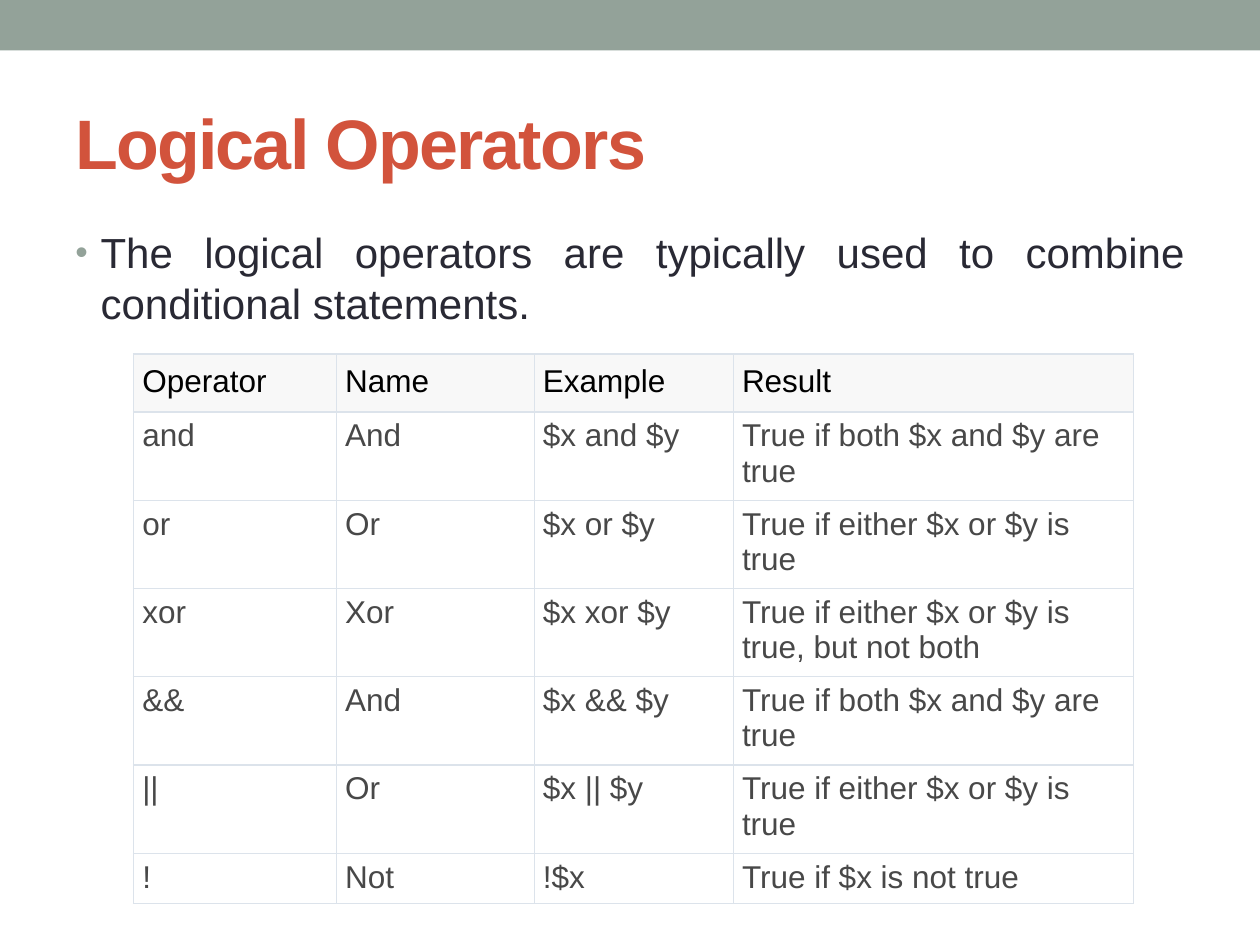
from dataclasses import dataclass

import pptx
import pptx.dml.color
import pptx.enum.shapes
import pptx.enum.text
import pptx.oxml.ns
import pptx.util
from lxml import etree
from pptx.util import Inches


@dataclass(frozen=True)
class Theme:
    font: str = "Arial"
    band: str = "93A299"
    title: str = "D2533C"
    body: str = "292934"
    header_text: str = "000000"
    cell_text: str = "484848"
    header_fill: str = "F8F8F8"
    cell_fill: str = "FFFFFF"
    border: str = "DCE3EB"
    title_size: int = 40
    body_size: int = 24
    table_size: int = 18


theme = Theme()
rgb = pptx.dml.color.RGBColor.from_string


def add_span(para, text, size, color):
    span = para.add_run()
    span.text = text
    span.font.name = theme.font
    span.font.size = pptx.util.Pt(size)
    span.font.color.rgb = rgb(color)
    return span


def add_element(parent, tag, **attributes):
    return etree.SubElement(parent, pptx.oxml.ns.qn(tag), attributes)


deck = pptx.Presentation()
deck.slide_width = Inches(10)
deck.slide_height = Inches(7.5)
page = deck.slides.add_slide(deck.slide_layouts[6])

band = page.shapes.add_shape(
    pptx.enum.shapes.MSO_SHAPE.RECTANGLE, 0, 0, Inches(10), Inches(0.4))
band.shadow.inherit = False
band.fill.solid()
band.fill.fore_color.rgb = rgb(theme.band)
band.line.fill.background()

# Title
title_box = page.shapes.add_textbox(Inches(0.5), Inches(0.58), Inches(9), Inches(1.08))
title_box.text_frame.word_wrap = True
title_box.text_frame.vertical_anchor = pptx.enum.text.MSO_ANCHOR.MIDDLE
title_span = add_span(title_box.text_frame.paragraphs[0], "Logical Operators",
                      theme.title_size, theme.title)
title_span.font.bold = True
title_span.font._element.set("spc", "-100")

# Bulleted introduction
body_box = page.shapes.add_textbox(Inches(0.5), Inches(1.75), Inches(9), Inches(5.33))
body_box.text_frame.word_wrap = True
para = body_box.text_frame.paragraphs[0]
para.alignment = pptx.enum.text.PP_ALIGN.JUSTIFY
add_span(para, "The logical operators are typically used to combine conditional statements.",
         theme.body_size, theme.body)
properties = para._p.get_or_add_pPr()
properties.set("marL", str(Inches(0.2)))
properties.set("indent", str(Inches(-0.2)))
add_element(add_element(properties, "a:spcBef"), "a:spcPct", val="20000")
add_element(add_element(properties, "a:buClr"), "a:srgbClr", val=theme.band)
add_element(properties, "a:buSzPct", val="85000")
add_element(properties, "a:buFont", typeface=theme.font)
add_element(properties, "a:buChar", char="•")

# Operator table
rows = [
    ("Operator", "Name", "Example", "Result"),
    ("and", "And", "$x and $y", "True if both $x and $y are true"),
    ("or", "Or", "$x or $y", "True if either $x or $y is true"),
    ("xor", "Xor", "$x xor $y", "True if either $x or $y is true, but not both"),
    ("&&", "And", "$x && $y", "True if both $x and $y are true"),
    ("||", "Or", "$x || $y", "True if either $x or $y is true"),
    ("!", "Not", "!$x", "True if $x is not true"),
]
column_widths = [1.61, 1.57, 1.58, 3.18]
row_heights = [0.44] + [0.66] * 5 + [0.38]

table = page.shapes.add_table(
    len(rows), len(column_widths), Inches(1.06), Inches(2.81),
    Inches(sum(column_widths)), Inches(sum(row_heights))).table
table.first_row = False
table.horz_banding = False
for column, width in zip(table.columns, column_widths):
    column.width = Inches(width)

for row_index, (row, height) in enumerate(zip(rows, row_heights)):
    table.rows[row_index].height = Inches(height)
    is_header = row_index == 0
    for column_index, text in enumerate(row):
        cell = table.cell(row_index, column_index)
        cell.margin_left = cell.margin_right = Inches(0.07)
        cell.margin_top = cell.margin_bottom = Inches(0.08 if is_header else 0.05)
        for side in ("a:lnL", "a:lnR", "a:lnT", "a:lnB"):
            border = add_element(cell._tc.get_or_add_tcPr(), side,
                                 w=str(pptx.util.Pt(0.75)))
            add_element(add_element(border, "a:solidFill"), "a:srgbClr", val=theme.border)
        cell.fill.solid()
        cell.fill.fore_color.rgb = rgb(theme.header_fill if is_header else theme.cell_fill)
        add_span(cell.text_frame.paragraphs[0], text, theme.table_size,
                 theme.header_text if is_header else theme.cell_text)

deck.save("out.pptx")
